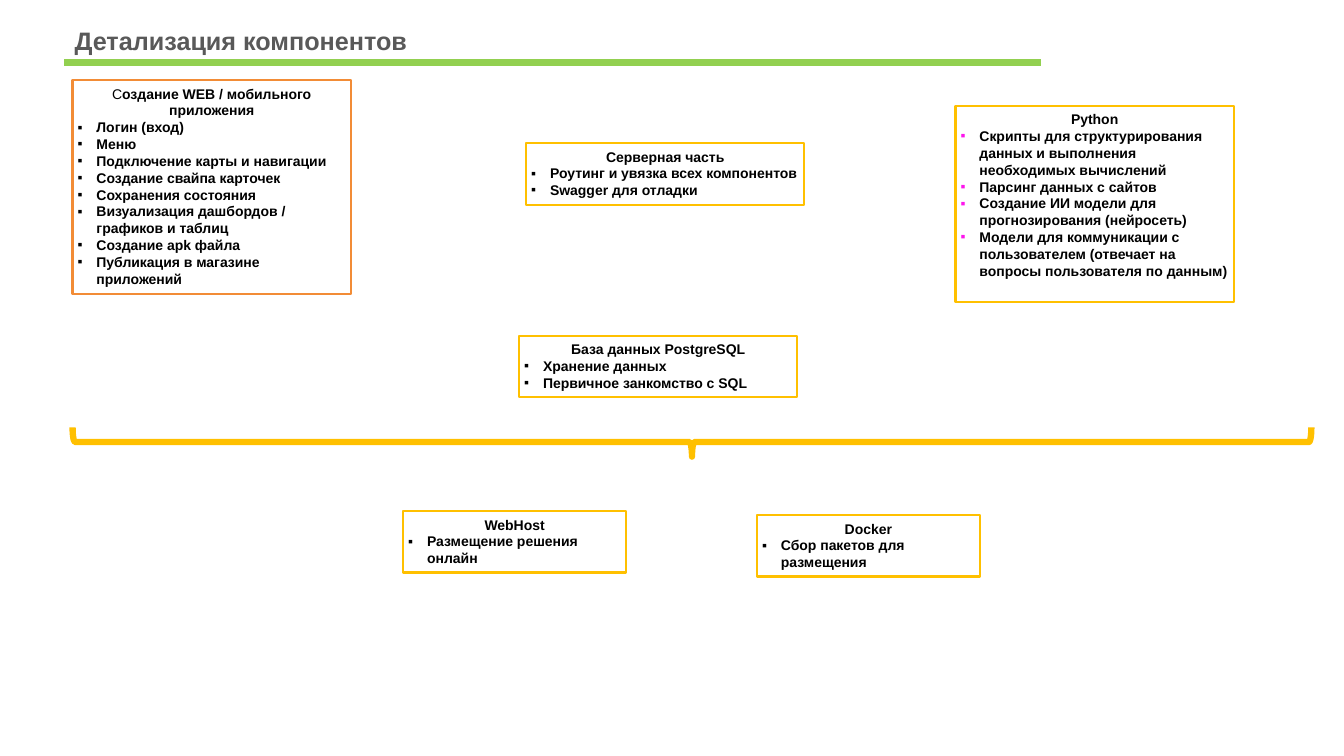
from dataclasses import dataclass

from lxml import etree
from pptx import Presentation
from pptx.dml.color import RGBColor
from pptx.enum.shapes import MSO_CONNECTOR, MSO_SHAPE
from pptx.enum.text import MSO_ANCHOR, MSO_AUTO_SIZE, PP_ALIGN
from pptx.oxml.ns import qn
from pptx.util import Pt

RECTANGLE = MSO_SHAPE.RECTANGLE
RIGHT_BRACE = MSO_SHAPE.RIGHT_BRACE
STRAIGHT = MSO_CONNECTOR.STRAIGHT
TOP = MSO_ANCHOR.TOP
NO_AUTOFIT = MSO_AUTO_SIZE.NONE
LEFT, CENTER = PP_ALIGN.LEFT, PP_ALIGN.CENTER

COLORS = {
    "title": "595959",
    "rule": "92D050",
    "text": "000000",
    "amber": "FFC000",
    "orange": "F28C36",
    "magenta": "FD15EC",
}
FONT = "Arial"
TITLE_ONLY_LAYOUT = 5
MARGIN = 46.08
WIDE, NARROW, LOW = 198.72, 159.12, 43.92
BULLET_INDENT = 13.5


@dataclass(frozen=True)
class Card:
    left: float
    top: float
    width: float
    height: float
    heading: str
    items: tuple[str, ...]
    outline: str = "amber"
    bullet: str = "text"
    plain_prefix: str = ""


CARDS = (
    Card(51.84, 57.3, WIDE, 152.64, "оздание WEB / мобильного приложения",
         ("Логин (вход)", "Меню", "Подключение карты и навигации",
          "Создание свайпа карточек", "Сохранения состояния",
          "Визуализация дашбордов / графиков и таблиц",
          "Создание apk файла", "Публикация в магазине приложений"),
         outline="orange", plain_prefix="С"),
    Card(375.84, 102.24, WIDE, LOW, "Серверная часть",
         ("Роутинг и увязка всех компонентов", "Swagger для отладки")),
    Card(682.56, 75.6, WIDE, 140.4, "Python",
         ("Скрипты для структурирования данных и выполнения необходимых вычислений",
          "Парсинг данных с сайтов",
          "Создание ИИ модели для прогнозирования (нейросеть)",
          "Модели для коммуникации с пользователем (отвечает на вопросы "
          "пользователя по данным)"),
         bullet="magenta"),
    Card(370.8, 239.76, WIDE, LOW, "База данных PostgreSQL",
         ("Хранение данных", "Первичное занкомство с SQL")),
    Card(540.72, 367.92, NARROW, LOW, "Docker", ("Сбор пакетов для размещения",)),
    Card(288, 365.04, NARROW, LOW, "WebHost", ("Размещение решения онлайн",)),
)


def color(name: str) -> RGBColor:
    return RGBColor.from_string(COLORS[name])


def apply(target, values: dict) -> None:
    for name, value in values.items():
        setattr(target, name, value)


def format_font(font, size: float, color_name: str, bold: bool = True) -> None:
    apply(font, {"name": FONT, "size": Pt(size), "bold": bold})
    font.color.rgb = color(color_name)


def format_line(line, color_name: str, width: float) -> None:
    line.color.rgb = color(color_name)
    line.width = Pt(width)


def add_bullet(paragraph, color_name: str) -> None:
    properties = paragraph._p.get_or_add_pPr()
    properties.set("marL", str(Pt(BULLET_INDENT)))
    properties.set("indent", str(-Pt(BULLET_INDENT)))
    bullet_color = etree.SubElement(properties, qn("a:buClr"))
    etree.SubElement(bullet_color, qn("a:srgbClr"), val=COLORS[color_name])
    etree.SubElement(properties, qn("a:buFont"), typeface=FONT)
    etree.SubElement(properties, qn("a:buChar"), char="▪")


def add_outline(slide, kind, left: float, top: float, width: float, height: float,
                color_name: str, line_width: float):
    shape = slide.shapes.add_shape(kind, Pt(left), Pt(top), Pt(width), Pt(height))
    shape.shadow.inherit = False
    shape.fill.background()
    format_line(shape.line, color_name, line_width)
    return shape


def add_card(slide, card: Card) -> None:
    shape = add_outline(slide, RECTANGLE, card.left, card.top, card.width,
                        card.height, card.outline, 1.5)
    frame = shape.text_frame
    apply(frame, {"word_wrap": True, "vertical_anchor": TOP, "auto_size": NO_AUTOFIT,
                  "margin_left": Pt(3.6), "margin_right": Pt(3.6),
                  "margin_top": Pt(3.6), "margin_bottom": Pt(3.6)})
    # Heading, then one bulleted paragraph per item
    heading = frame.paragraphs[0]
    heading.alignment = CENTER
    if card.plain_prefix:
        prefix = heading.add_run()
        prefix.text = card.plain_prefix
        format_font(prefix.font, 10, "text", bold=False)
    run = heading.add_run()
    run.text = card.heading
    format_font(run.font, 10, "text")
    for item in card.items:
        paragraph = frame.add_paragraph()
        paragraph.alignment = LEFT
        add_bullet(paragraph, card.bullet)
        run = paragraph.add_run()
        run.text = item
        format_font(run.font, 10, "text")


def add_title(slide, text: str) -> None:
    title = slide.shapes.title
    apply(title, {"left": Pt(MARGIN), "top": Pt(14.4),
                  "width": Pt(874.08), "height": Pt(28.8)})
    frame = title.text_frame
    frame.text = text
    apply(frame, {"word_wrap": True, "vertical_anchor": TOP, "auto_size": NO_AUTOFIT})
    paragraph = frame.paragraphs[0]
    paragraph.alignment = LEFT
    format_font(paragraph.runs[0].font, 18, "title")


def add_title_rule(slide) -> None:
    rule = slide.shapes.add_connector(STRAIGHT, Pt(MARGIN), Pt(44.64),
                                      Pt(743.76), Pt(44.64))
    format_line(rule.line, "rule", 4.5)
    etree.SubElement(rule._element.spPr, qn("a:effectLst"))


def main() -> None:
    presentation = Presentation()
    presentation.slide_width = Pt(960)
    presentation.slide_height = Pt(540)
    slide = presentation.slides.add_slide(presentation.slide_layouts[TITLE_ONLY_LAYOUT])

    # Title band
    add_title(slide, "Детализация компонентов")
    add_title_rule(slide)

    # Components
    for card in CARDS:
        add_card(slide, card)

    # Brace joining the components to their hosting
    brace = add_outline(slide, RIGHT_BRACE, 483.84, -126.72, 20.88, 884.88, "amber", 4.5)
    brace.rotation = 90

    presentation.save("out.pptx")


if __name__ == "__main__":
    main()
